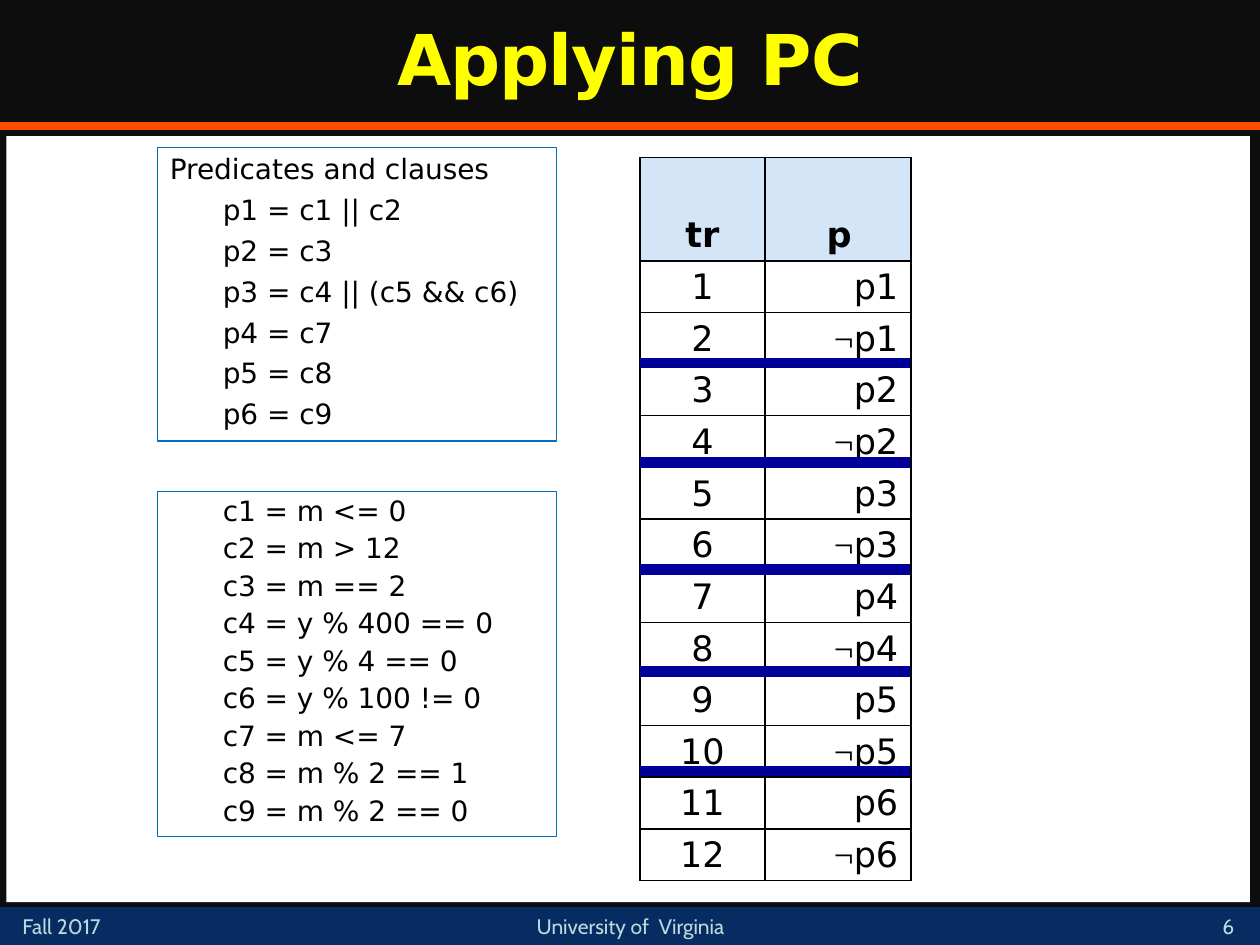
"""Build the "Applying PC" slide on predicate coverage requirements."""
from lxml import etree
from pptx import Presentation
from pptx.dml.color import RGBColor
from pptx.enum.shapes import MSO_CONNECTOR, MSO_SHAPE
from pptx.enum.text import MSO_ANCHOR, PP_ALIGN
from pptx.oxml import parse_xml
from pptx.oxml.ns import nsdecls, qn
from pptx.util import Inches, Pt

LEFT, CENTER, RIGHT = PP_ALIGN.LEFT, PP_ALIGN.CENTER, PP_ALIGN.RIGHT
TOP, MIDDLE, BOTTOM = MSO_ANCHOR.TOP, MSO_ANCHOR.MIDDLE, MSO_ANCHOR.BOTTOM
RECTANGLE, STRAIGHT = MSO_SHAPE.RECTANGLE, MSO_CONNECTOR.STRAIGHT

THEME = {
    "background": "0D0D0D", "panel": "FFFFFF", "footer": "072C62",
    "rule": "FF4C00", "outline": "0070C0", "header": "D4E5F7",
    "separator": "000099", "border": "000000",
    "title": {"name": "DejaVu Sans", "size": Pt(40), "bold": True, "color": "FFFF00"},
    "footnote": {"name": "Cabin", "size": Pt(12), "bold": False, "color": "BDDADF"},
    "body": {"name": "DejaVu Sans", "size": Pt(16), "bold": False, "color": "000000"},
    "heading": {"name": "DejaVu Sans", "size": Pt(20), "bold": True, "color": "000000"},
    "cell": {"name": "DejaVu Sans", "size": Pt(20), "bold": False, "color": "000000"},
    "symbol": {"name": "Times New Roman", "size": Pt(20), "bold": False, "color": "000000"},
}


def add_text(paragraph, runs, indent=0, **formats):
    """Fill a paragraph with (text, style) runs and apply its formats."""
    paragraph._p.get_or_add_pPr().set("marL", str(Inches(indent)))
    for name, value in formats.items():
        setattr(paragraph, name, value)
    for text, style in runs:
        run = paragraph.add_run()
        run.text = text
        for name, value in THEME[style].items():
            if name == "color":
                run.font.color.rgb = RGBColor.from_string(value)
            else:
                setattr(run.font, name, value)


def add_line(start, end, y, color, width):
    """Draw a horizontal line without a shadow."""
    line = slide.shapes.add_connector(STRAIGHT, Inches(start), Inches(y), Inches(end), Inches(y))
    line.line.color.rgb = RGBColor.from_string(THEME[color])
    line.line.width = Pt(width)
    etree.SubElement(line._element.spPr, qn("a:effectLst"))


presentation = Presentation()
presentation.slide_width, presentation.slide_height = Inches(10), Inches(7.5)
slide = presentation.slides.add_slide(presentation.slide_layouts[6])
slide.background.fill.solid()
slide.background.fill.fore_color.rgb = RGBColor.from_string(THEME["background"])

predicates = ["Predicates and clauses", "p1 = c1 || c2", "p2 = c3",
              "p3 = c4 || (c5 && c6)", "p4 = c7", "p5 = c8", "p6 = c9"]
clauses = ["c1 = m <= 0", "c2 = m > 12", "c3 = m == 2", "c4 = y % 400 == 0",
           "c5 = y % 4 == 0", "c6 = y % 100 != 0", "c7 = m <= 7",
           "c8 = m % 2 == 1", "c9 = m % 2 == 0"]
boxes = [
    ((0, 7.2, 10, 0.3), "footer", None, [], 1),
    ((0.05, 1.08, 9.87, 6.08), "panel", None, [], 1),
    ((1.25, 1.17, 3.17, 2.33), "panel", "outline", predicates, 0.8),
    ((1.25, 3.9, 3.17, 2.74), "panel", "outline", clauses, 0.7),
]
for place, fill, outline, lines, spacing in boxes:
    shape = slide.shapes.add_shape(RECTANGLE, *map(Inches, place))
    shape.shadow.inherit = False
    shape.fill.solid()
    shape.fill.fore_color.rgb = RGBColor.from_string(THEME[fill])
    if outline:
        shape.line.color.rgb = RGBColor.from_string(THEME[outline])
        shape.line.width = Pt(0.75)
    else:
        shape.line.fill.background()
    frame = shape.text_frame
    frame.vertical_anchor = MIDDLE
    for index, text in enumerate(lines):
        paragraph = frame.add_paragraph() if index else frame.paragraphs[0]
        add_text(paragraph, [(text, "body")], 0 if text == predicates[0] else 0.42,
                 alignment=LEFT, line_spacing=spacing,
                 space_before=Pt(5 if index else 0), space_after=Pt(3))

add_line(0, 10, 1, "rule", 4.5)

labels = [
    ((0, 0, 10, 1), "Applying PC", "title", CENTER, MIDDLE),
    ((0.08, 7.2, 1.17, 0.3), "Fall 2017", "footnote", LEFT, TOP),
    ((3.67, 7.2, 2.67, 0.3), "University of  Virginia", "footnote", CENTER, TOP),
    ((9.5, 7.17, 0.5, 0.33), "6", "footnote", CENTER, BOTTOM),
]
for place, text, style, alignment, anchor in labels:
    frame = slide.shapes.add_textbox(*map(Inches, place)).text_frame
    frame.word_wrap = True
    frame.vertical_anchor = anchor
    paragraph = frame.paragraphs[0]
    add_text(paragraph, [(text, style)], alignment=alignment,
             line_spacing=0.9 if style == "title" else 1.0)
    if style == "title":
        paragraph.runs[0].font._element.set("spc", "-50")

rows = [([("tr", "heading")], [("p", "heading")])]
for number in range(1, 13):
    negation = [] if number % 2 else [("¬", "symbol")]
    predicate = (f"p{(number + 1) // 2}", "cell")
    rows.append(([(str(number), "cell")], negation + [predicate]))

table = slide.shapes.add_table(len(rows), 2, Inches(5.08), Inches(1.25),
                               Inches(2.15), Inches(5.74)).table
for column, width in zip(table.columns, (0.99, 1.16)):
    column.width = Inches(width)
for row_index, row in enumerate(rows):
    table.rows[row_index].height = Inches(0.41 if row_index else 0.82)
    for column_index, runs in enumerate(row):
        cell = table.cell(row_index, column_index)
        cell.vertical_anchor = BOTTOM
        add_text(cell.text_frame.paragraphs[0], runs, 0.02 * column_index,
                 alignment=RIGHT if row_index and column_index else CENTER,
                 line_spacing=0.8)
        for side in ("lnL", "lnR", "lnT", "lnB"):
            cell._tc.get_or_add_tcPr().append(parse_xml(
                f'<a:{side} {nsdecls("a")} w="{Pt(1)}"><a:solidFill>'
                f'<a:srgbClr val="{THEME["border"]}"/></a:solidFill></a:{side}>'))
        cell.fill.solid()
        cell.fill.fore_color.rgb = RGBColor.from_string(THEME["panel" if row_index else "header"])

for y in (2.88, 3.67, 4.52, 5.33, 6.12):
    add_line(5.08, 7.22, y, "separator", 6)

presentation.save("out.pptx")
